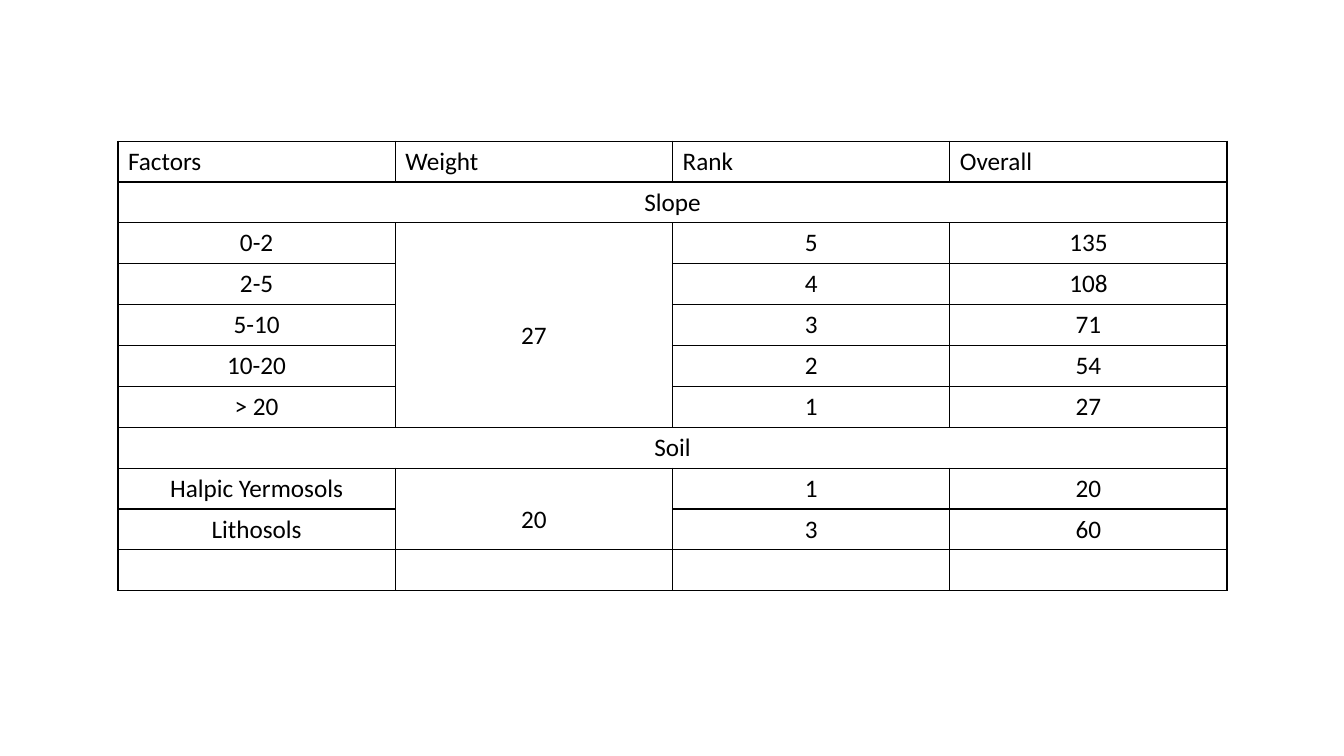
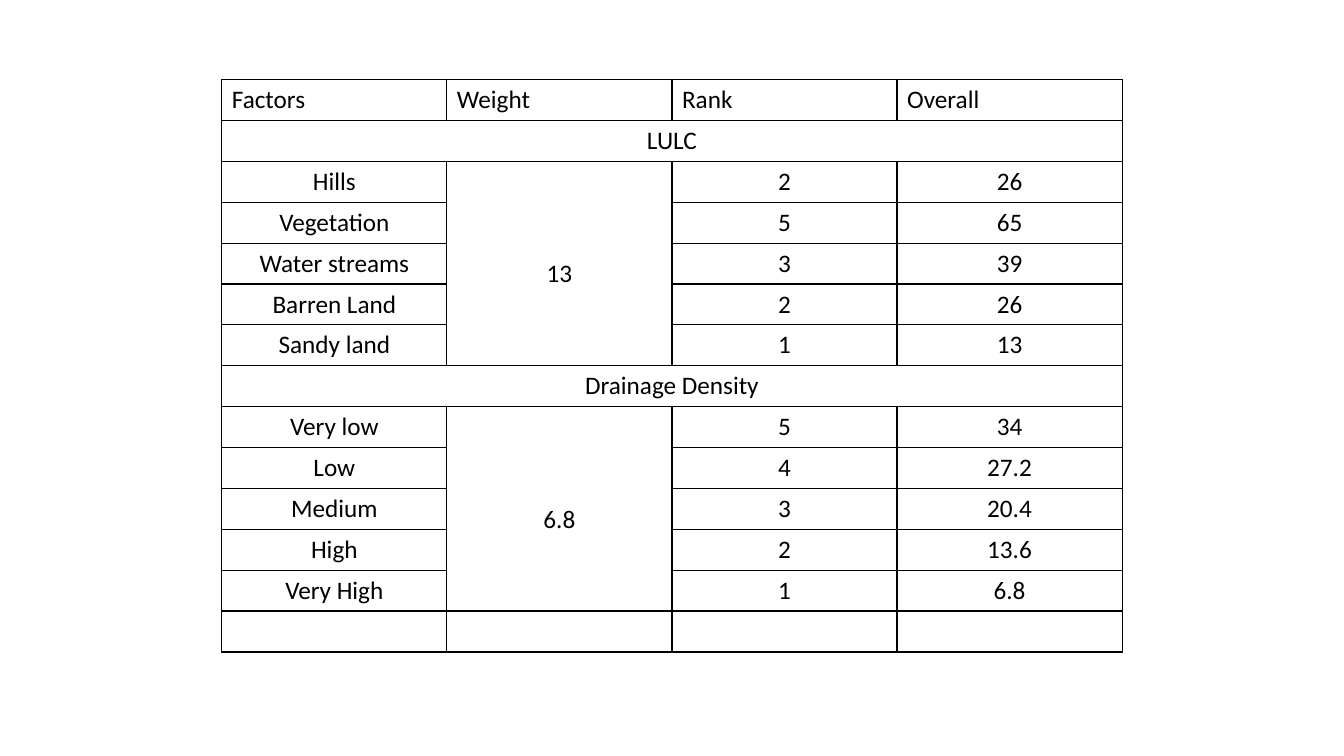
from lxml import etree
from pptx import Presentation
from pptx import util as u
from pptx.dml.color import RGBColor
from pptx.enum import text
from pptx.oxml import ns

FONT = "Calibri"
INK = "000000"
HEADINGS = ["Factors", "Weight", "Rank", "Overall"]

# Each slide: table frame (left, top, width, height) and its groups
# Each group: name, weight, rows of (factor, rank, overall)
SLIDES = [
    ((1.17, 1.4, 11, 4.46), [
        ("Slope", "27", [("0-2", "5", "135"), ("2-5", "4", "108"), ("5-10", "3", "71"),
                         ("10-20", "2", "54"), ("> 20", "1", "27")]),
        ("Soil", "20", [("Halpic Yermosols", "1", "20"), ("Lithosols", "3", "60")]),
    ]),
    ((2.2, 0.79, 8.93, 5.68), [
        ("LULC", "13", [("Hills", "2", "26"), ("Vegetation", "5", "65"),
                        ("Water streams", "3", "39"), ("Barren Land", "2", "26"),
                        ("Sandy land", "1", "13")]),
        ("Drainage Density", "6.8", [("Very low", "5", "34"), ("Low", "4", "27.2"),
                                     ("Medium", "3", "20.4"), ("High", "2", "13.6"),
                                     ("Very High", "1", "6.8")]),
    ]),
]


def write(cell, words, align=text.PP_ALIGN.CENTER):
    para = cell.text_frame.paragraphs[0]
    para.alignment = align
    span = para.add_run()
    span.text = words
    span.font.name = FONT
    span.font.size = u.Pt(18)
    span.font.color.rgb = RGBColor.from_string(INK)


def outline(cell):
    properties = cell._tc.get_or_add_tcPr()
    for side in ("a:lnL", "a:lnR", "a:lnT", "a:lnB"):
        line = etree.SubElement(properties, ns.qn(side), w=str(u.Pt(1)))
        fill = etree.SubElement(line, ns.qn("a:solidFill"))
        etree.SubElement(fill, ns.qn("a:srgbClr"), val=INK)
    cell.fill.background()


deck = Presentation()
deck.slide_width, deck.slide_height = u.Inches(13.33), u.Inches(7.5)

for frame, groups in SLIDES:
    page = deck.slides.add_slide(deck.slide_layouts[6])

    # Heading row, one title row per group, and an empty last row
    row_count = 2 + sum(1 + len(rows) for _, _, rows in groups)
    table = page.shapes.add_table(row_count, len(HEADINGS), *map(u.Inches, frame)).table
    table.first_row = table.horz_banding = False
    for cell in table.iter_cells():
        outline(cell)

    for column, heading in enumerate(HEADINGS):
        write(table.cell(0, column), heading, text.PP_ALIGN.LEFT)

    top = 1
    for name, weight, rows in groups:
        # Group title across all columns
        title = table.cell(top, 0)
        title.merge(table.cell(top, len(HEADINGS) - 1))
        write(title, name)

        # Shared weight, set slightly below the middle
        weight_cell = table.cell(top + 1, 1)
        weight_cell.merge(table.cell(top + len(rows), 1))
        weight_cell.vertical_anchor = text.MSO_ANCHOR.MIDDLE
        weight_cell.margin_top = u.Inches(0.26)
        write(weight_cell, weight)

        for row, values in enumerate(rows, top + 1):
            for column, value in zip((0, 2, 3), values):
                write(table.cell(row, column), value)
        top += 1 + len(rows)

deck.save("out.pptx")
